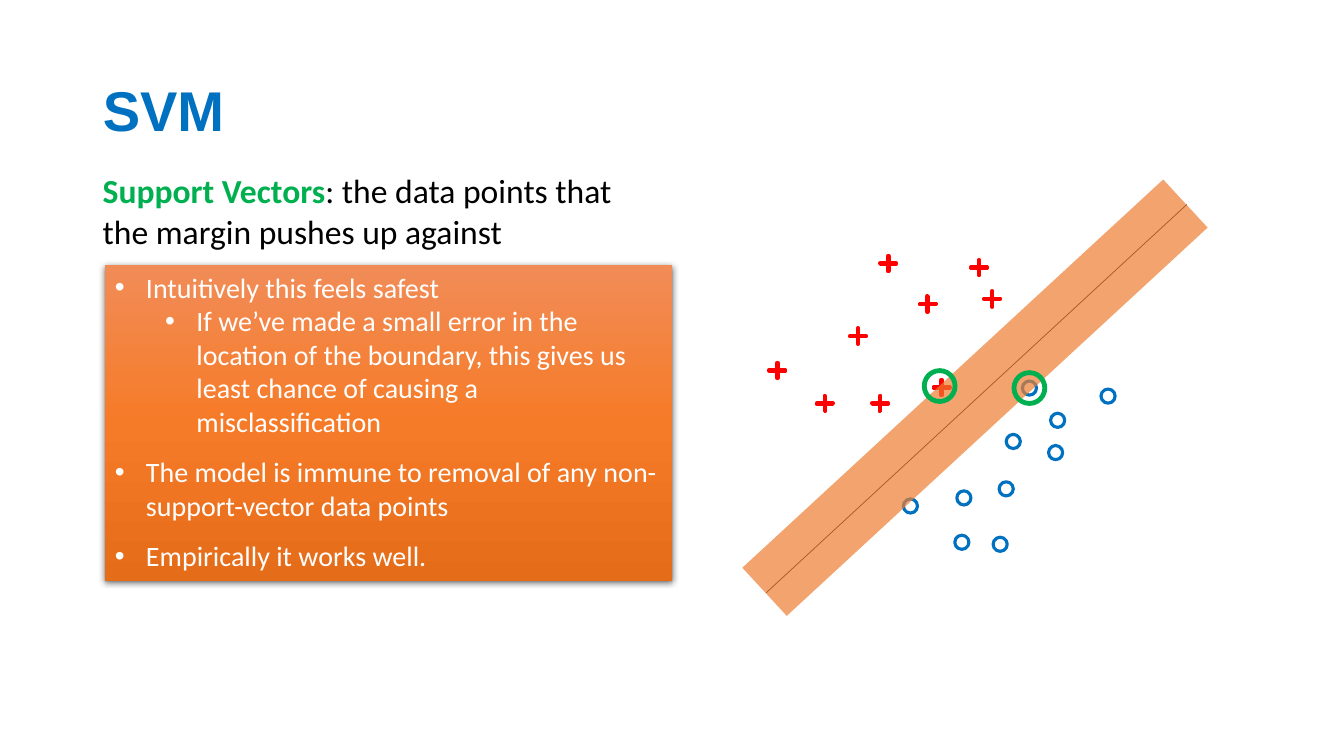
from copy import deepcopy

from lxml.etree import SubElement
from pptx import Presentation
from pptx.dml.color import RGBColor
from pptx.enum.shapes import MSO_CONNECTOR, MSO_SHAPE
from pptx.enum.text import MSO_ANCHOR, MSO_AUTO_SIZE, PP_ALIGN
from pptx.oxml.ns import qn
from pptx.util import Pt

PX = 9144  # EMU per px, 100 px to the inch
COLORS = {
    "blue": "0070C0", "green": "00B050", "red": "FF0000", "black": "000000",
    "white": "FFFFFF", "plus": "4472C4", "support": "92D050", "margin": "ED7D31",
    "top": "F18C57", "middle": "F67B28", "bottom": "E56C19",
}

# Left and top of each data point
CIRCLES = [(998, 431), (991, 478), (985, 533), (949, 487), (896, 495), (947, 531),
           (1014, 378), (1040, 442), (1092, 386), (1042, 410)]
PLUSES = [(840, 323), (973, 286), (862, 390), (909, 291), (870, 251), (760, 357),
          (960, 255), (807, 390)]
SUPPORT_PLUS = (923, 374)
SUPPORT_RINGS = [(915, 366), (1004, 368)]

# Level, text, space before, space after
REASONS = [
    (0, "Intuitively this feels safest", 0, 0),
    (1, "If we’ve made a small error in the location of the boundary, this gives us "
        "least chance of causing a misclassification", 0, 6),
    (0, "The model is immune to removal of any non-support-vector data points", 6, 6),
    (0, "Empirically it works well.", 6, 6),
]


def px(*values):
    return [v * PX for v in values]


def rgb(name):
    return RGBColor.from_string(COLORS[name])


def add_run(p, text, color, **formats):
    r = p.add_run()
    r.text = text
    r.font.color.rgb = rgb(color)
    for name, value in formats.items():
        setattr(r.font, name, value)


def add_shape(s, kind, box, fill=None, line=None, width=1, adj=None):
    sp = s.shapes.add_shape(kind, *px(*box))
    sp.shadow.inherit = False
    if fill:
        sp.fill.solid()
        sp.fill.fore_color.rgb = rgb(fill)
    else:
        sp.fill.background()
    if line:
        sp.line.color.rgb = rgb(line)
        sp.line.width = Pt(width)
    else:
        sp.line.fill.background()
    if adj is not None:
        sp.adjustments[0] = adj
    return sp


def add_plus(s, left, top, fill="plus"):
    add_shape(s, MSO_SHAPE.MATH_PLUS, (left, top, 22, 21), fill, "red", 2.75, 0.031)


def add_title(s, text):
    sp = s.shapes.title
    sp.left, sp.top, sp.width, sp.height = px(92, 40, 1150, 145)
    sp.text_frame.vertical_anchor = MSO_ANCHOR.MIDDLE
    p = sp.text_frame.paragraphs[0]
    p.alignment = PP_ALIGN.LEFT
    p.line_spacing = 0.9
    add_run(p, text, "blue", name="Arial", size=Pt(40), bold=True)


def add_definition(s, term, meaning):
    tf = s.shapes.add_textbox(*px(92, 164, 546, 91)).text_frame
    tf.word_wrap = True
    p = tf.paragraphs[0]
    add_run(p, term, "green", name="Calibri", size=Pt(24), bold=True)
    add_run(p, meaning, "black", name="Calibri", size=Pt(24), bold=False)


def set_gradient(sp, names):
    sp.fill.gradient()
    sp.fill.gradient_angle = 270
    stops = sp.element.spPr.find(qn("a:gradFill")).find(qn("a:gsLst"))
    stops.append(deepcopy(stops[-1]))
    for i, (stop, name) in enumerate(zip(sp.fill.gradient_stops, names)):
        stop.position = i / (len(names) - 1)
        stop.color.rgb = rgb(name)


def add_shadow(sp):
    effects = sp.element.spPr.find(qn("a:effectLst"))
    shadow = SubElement(effects, qn("a:outerShdw"), blurRad=str(Pt(4.5)),
                        dist=str(Pt(1.5)), dir="5400000", algn="ctr", rotWithShape="0")
    color = SubElement(shadow, qn("a:srgbClr"), val=COLORS["black"])
    SubElement(color, qn("a:alpha"), val="63000")


def add_bullet(p, level):
    pPr = p._p.get_or_add_pPr()
    pPr.set("marL", str((31 + 50 * level) * PX))
    pPr.set("indent", str(-31 * PX))
    SubElement(pPr, qn("a:buFont"), typeface="Arial")
    SubElement(pPr, qn("a:buChar"), char="•")


def add_reasons(s):
    sp = add_shape(s, MSO_SHAPE.RECTANGLE, (104, 263, 563, 313))
    set_gradient(sp, ["top", "middle", "bottom"])
    add_shadow(sp)
    tf = sp.text_frame
    tf.word_wrap = True
    tf.auto_size = MSO_AUTO_SIZE.SHAPE_TO_FIT_TEXT
    tf.vertical_anchor = MSO_ANCHOR.TOP
    for i, (level, text, before, after) in enumerate(REASONS):
        p = tf.add_paragraph() if i else tf.paragraphs[0]
        formats = {"level": level, "alignment": PP_ALIGN.LEFT,
                   "space_before": Pt(before), "space_after": Pt(after)}
        for name, value in formats.items():
            setattr(p, name, value)
        add_bullet(p, level)
        add_run(p, text, "white", name="Calibri", size=Pt(20))


def add_boundary(s):
    line = s.shapes.add_connector(MSO_CONNECTOR.STRAIGHT, *px(760, 588, 1177, 203))
    line.line.color.rgb = rgb("black")
    line.line.width = Pt(0.5)
    SubElement(line.element.spPr, qn("a:effectLst"))

    # Translucent margin band over the boundary
    band = add_shape(s, MSO_SHAPE.RECTANGLE, (683, 362, 568, 65), "margin")
    band.rotation = 317.3
    color = band.element.spPr.find(qn("a:solidFill"))[0]
    SubElement(color, qn("a:alpha"), val="70000")


def main():
    prs = Presentation()
    prs.slide_width, prs.slide_height = px(1333, 750)
    s = prs.slides.add_slide(prs.slide_layouts[5])

    # Text on the left
    add_title(s, "SVM")
    add_reasons(s)
    add_definition(s, "Support Vectors", ": the data points that the margin pushes up against")

    # Data points of the two classes
    for left, top in CIRCLES:
        add_shape(s, MSO_SHAPE.FLOWCHART_CONNECTOR, (left, top, 14, 14),
                  line="blue", width=2.25)
    for left, top in PLUSES:
        add_plus(s, left, top)
    add_plus(s, *SUPPORT_PLUS, fill="support")

    # Boundary with its margin, and the support vectors
    add_boundary(s)
    for left, top in SUPPORT_RINGS:
        add_shape(s, MSO_SHAPE.DONUT, (left, top, 34, 34), "green", "green", 1, 0.101)

    prs.save("out.pptx")


if __name__ == "__main__":
    main()
